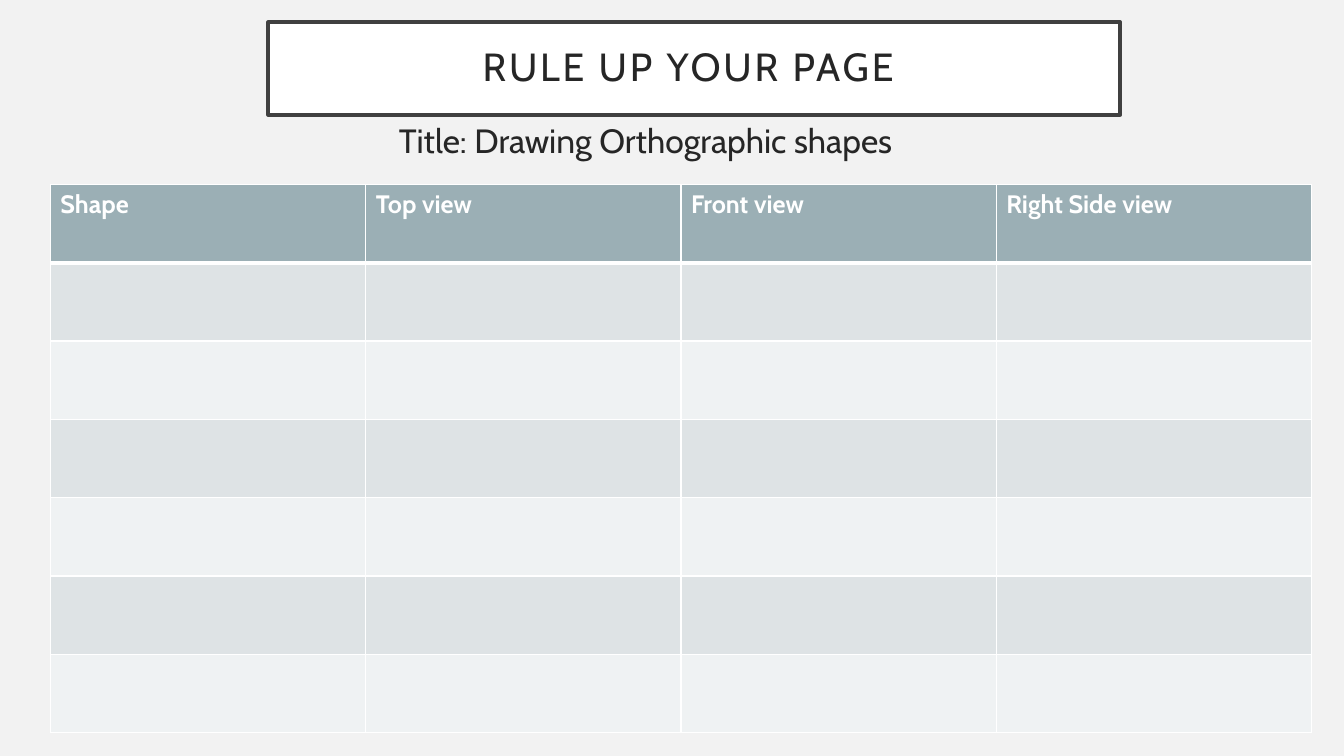
from dataclasses import dataclass

from lxml.etree import SubElement as Sub
from pptx import Presentation
from pptx.dml.color import RGBColor as Rgb
from pptx.enum.shapes import MSO_SHAPE as Shape
from pptx.enum.text import MSO_ANCHOR as Anchor, PP_ALIGN as Align
from pptx.oxml.ns import qn
from pptx.util import Inches, Pt


@dataclass(frozen=True)
class Theme:
    font: str = "Cabin"
    page: str = "F2F2F2"
    white: str = "FFFFFF"
    frame: str = "404040"
    ink: str = "262626"
    head: str = "9BAFB5"
    bands: tuple = ("DEE3E5", "EFF2F3")
    title: int = 28
    sub: int = 24
    cell: int = 18


THEME = Theme()
WIDE, HIGH = Inches(13.33), Inches(7.5)
HEADS = ["Shape", "Top view", "Front view", "Right Side view"]
ROWS = 7


def area(left, top, width, height):
    """Turn percentages of the slide into a box."""
    return (int(WIDE * left / 100), int(HIGH * top / 100),
            int(WIDE * width / 100), int(HIGH * height / 100))


def paint(fill, color):
    fill.solid()
    fill.fore_color.rgb = Rgb.from_string(color)


def write(frame, text, size, color, bold=False):
    para = frame.paragraphs[0]
    para.text = text
    font = para.font
    font.name, font.size, font.bold = THEME.font, Pt(size), bold
    font.color.rgb = Rgb.from_string(color)
    return para


def edge(cell, low):
    """Rule all four sides of a cell; low is the bottom width in points."""
    props = cell._tc.get_or_add_tcPr()
    for side, width in zip("LRTB", (1, 1, 1, low)):
        line = Sub(props, qn(f"a:ln{side}"), w=str(Pt(width)))
        Sub(Sub(line, qn("a:solidFill")), qn("a:srgbClr"), val=THEME.white)


def banner(slide, box, text):
    shape = slide.shapes.add_shape(Shape.RECTANGLE, *box)
    shape.shadow.inherit = False
    paint(shape.fill, THEME.white)
    paint(shape.line.fill, THEME.frame)
    shape.line.width = Pt(2.5)
    frame = shape.text_frame
    frame.word_wrap = True
    frame.vertical_anchor = Anchor.MIDDLE
    frame.margin_left = frame.margin_right = Inches(0.2)
    frame.margin_top = frame.margin_bottom = Inches(0.2)
    para = write(frame, text, THEME.title, THEME.ink)
    para.alignment = Align.CENTER
    para.line_spacing = 0.9
    # Wide letter spacing, in hundredths of a point
    para.runs[0]._r.get_or_add_rPr().set("spc", "200")


def grid(slide, box, heads, count):
    table = slide.shapes.add_table(count, len(heads), *box).table
    for row in range(count):
        for col, head in enumerate(heads):
            cell = table.cell(row, col)
            # The header has a heavy rule below it
            edge(cell, 1 if row else 3)
            if row:
                paint(cell.fill, THEME.bands[(row - 1) % 2])
            else:
                paint(cell.fill, THEME.head)
                write(cell.text_frame, head, THEME.cell, THEME.white, True)


def caption(slide, box, text):
    frame = slide.shapes.add_textbox(*box).text_frame
    frame.word_wrap = True
    write(frame, text, THEME.sub, THEME.ink)


def main():
    deck = Presentation()
    deck.slide_width, deck.slide_height = WIDE, HIGH
    slide = deck.slides.add_slide(deck.slide_layouts[6])
    paint(slide.background.fill, THEME.page)

    banner(slide, area(19.95, 2.93, 63.4, 12.27), "RULE UP YOUR PAGE ")
    grid(slide, area(3.75, 24.4, 93.85, 72.53), HEADS, ROWS)
    caption(slide, area(28.95, 15.2, 63.4, 45.2),
            "Title: Drawing Orthographic shapes")
    deck.save("out.pptx")


if __name__ == "__main__":
    main()
